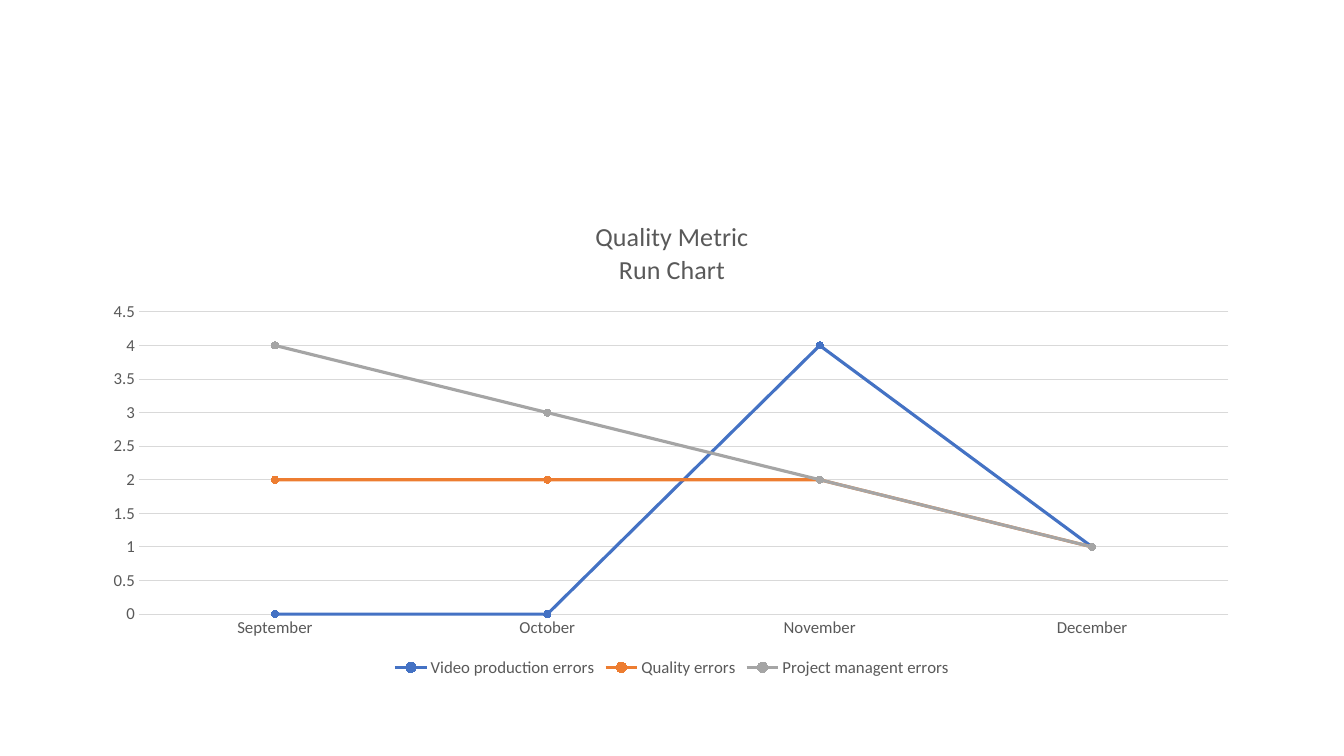
from dataclasses import dataclass

from lxml import etree
from pptx import Presentation
from pptx import util as u
from pptx.chart.data import CategoryChartData
from pptx.dml.color import RGBColor
from pptx.enum import chart as kinds
from pptx.oxml.ns import qn


@dataclass(frozen=True)
class Theme:
    """Colours, type sizes and line widths of the slide."""

    font: str = "Calibri"
    ink: str = "595959"
    rule: str = "D9D9D9"
    title_size: float = 18.6
    label_size: float = 12
    rule_width: float = 0.75
    run_width: float = 2.25
    marker_size: int = 5


THEME = Theme()
MONTHS = ["September", "October", "November", "December"]
ERRORS = {
    "Video production errors": ((0, 0, 4, 1), "4472C4"),
    "Quality errors": ((2, 2, 2, 1), "ED7D31"),
    "Project managent errors": ((4, 3, 2, 1), "A5A5A5"),
}
PLOT_AREA = {"x": 0.04, "y": 0.23, "w": 0.94, "h": 0.63}


def apply(target, settings):
    """Set every attribute named in settings on target."""
    for name, value in settings.items():
        setattr(target, name, value)


def style_font(font, size):
    """Give a font the theme's face and ink at the given size."""
    apply(font, {"name": THEME.font, "size": u.Pt(size), "bold": False})
    font.color.rgb = RGBColor.from_string(THEME.ink)


def style_line(line, color, width):
    """Draw a line in one solid colour."""
    line.color.rgb = RGBColor.from_string(color)
    line.width = u.Pt(width)


def set_title(chart, lines):
    """Write the chart title, one paragraph per line."""
    chart.has_title = True
    chart.chart_title.include_in_layout = False
    heading = chart.chart_title.text_frame
    heading.text = "\n".join(lines)
    for paragraph in heading.paragraphs:
        for run in paragraph.runs:
            style_font(run.font, THEME.title_size)


def style_axes(chart):
    """Format the months, the error scale and its gridlines."""
    months, scale = chart.category_axis, chart.value_axis
    for axis in (months, scale):
        apply(axis, {"major_tick_mark": kinds.XL_TICK_MARK.NONE,
                     "minor_tick_mark": kinds.XL_TICK_MARK.NONE})
        style_font(axis.tick_labels.font, THEME.label_size)
    apply(scale, {"minimum_scale": 0, "maximum_scale": 4.5, "major_unit": 0.5,
                  "has_major_gridlines": True})
    scale.format.line.fill.background()
    for line in (months.format.line, scale.major_gridlines.format.line):
        style_line(line, THEME.rule, THEME.rule_width)


def style_run(series, color):
    """Format one run line and its round markers."""
    series.smooth = False
    style_line(series.format.line, color, THEME.run_width)
    marker = series.marker
    apply(marker, {"style": kinds.XL_MARKER_STYLE.CIRCLE, "size": THEME.marker_size})
    marker.format.fill.solid()
    marker.format.fill.fore_color.rgb = RGBColor.from_string(color)
    style_line(marker.format.line, color, THEME.rule_width)


def place_plot(chart, area):
    """Fix the inner plot area as fractions of the chart."""
    plot_area = chart.plots[0]._element.getparent()
    for old in plot_area.findall(qn("c:layout")):
        plot_area.remove(old)
    layout = etree.Element(qn("c:layout"))
    manual = etree.SubElement(layout, qn("c:manualLayout"))
    values = {"layoutTarget": "inner", "xMode": "edge", "yMode": "edge", **area}
    for name, value in values.items():
        etree.SubElement(manual, qn(f"c:{name}")).set("val", str(value))
    plot_area.insert(0, layout)


def add_run_chart(slide):
    """Add the run chart of errors per month."""
    data = CategoryChartData()
    data.categories = MONTHS
    for name, (counts, _) in ERRORS.items():
        data.add_series(name, counts)
    frame = slide.shapes.add_chart(
        kinds.XL_CHART_TYPE.LINE_MARKERS,
        u.Cm(2.33), u.Cm(5.08), u.Cm(29.21), u.Cm(12.09), data)
    chart = frame.chart
    style_font(chart.font, THEME.label_size)
    set_title(chart, ["Quality Metric", "Run Chart"])
    style_axes(chart)
    plot = chart.plots[0]
    plot.vary_by_categories = False
    for series, (_, color) in zip(plot.series, ERRORS.values()):
        style_run(series, color)
    chart.has_legend = True
    apply(chart.legend, {"position": kinds.XL_LEGEND_POSITION.BOTTOM,
                         "include_in_layout": False})
    style_font(chart.legend.font, THEME.label_size)
    place_plot(chart, PLOT_AREA)


def main():
    """Build and save the slide."""
    deck = Presentation()
    apply(deck, {"slide_width": u.Cm(33.87), "slide_height": u.Cm(19.05)})
    add_run_chart(deck.slides.add_slide(deck.slide_layouts[6]))
    deck.save("out.pptx")


main()
